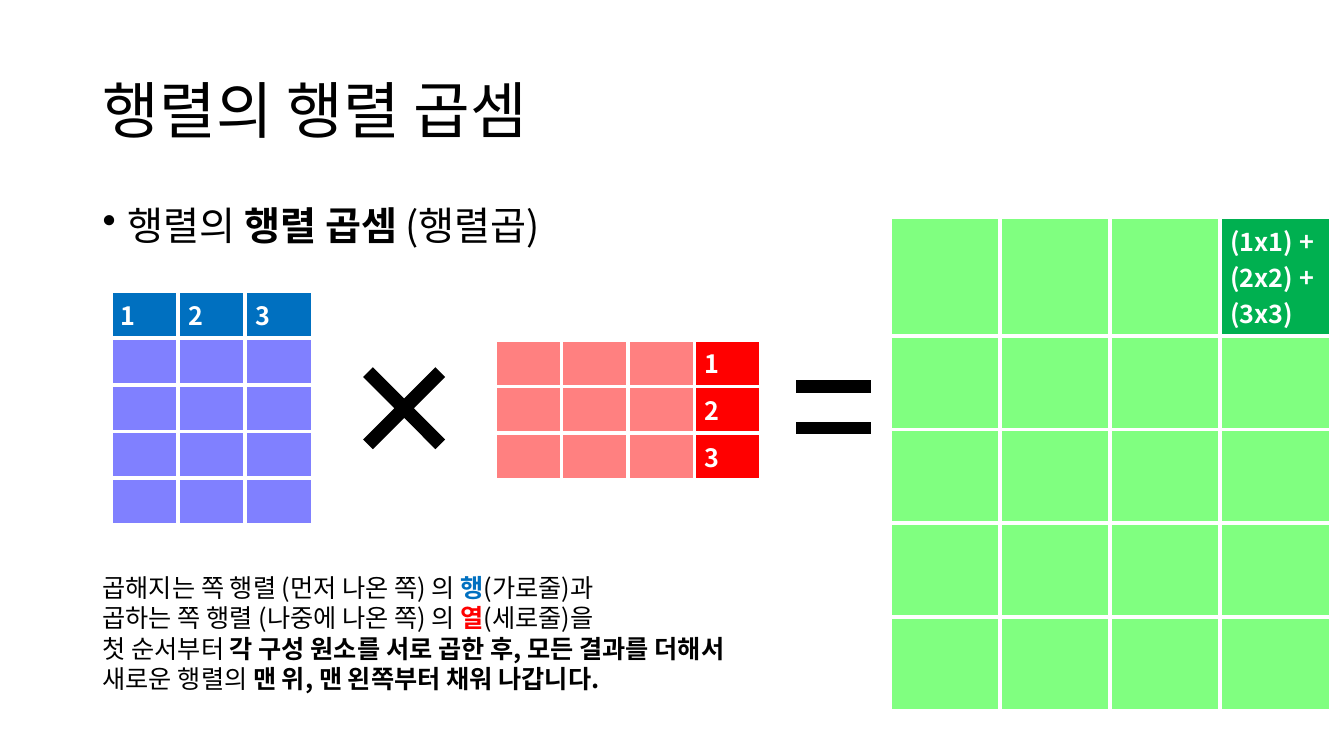
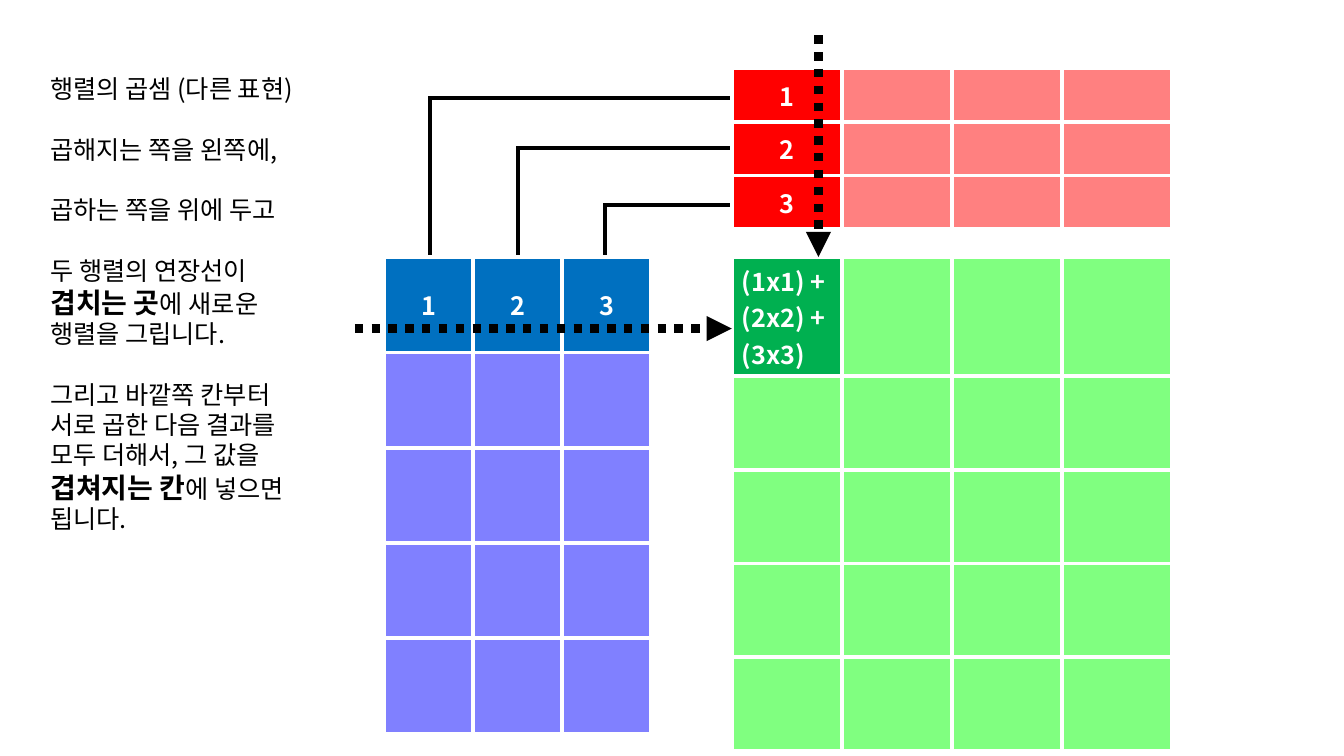
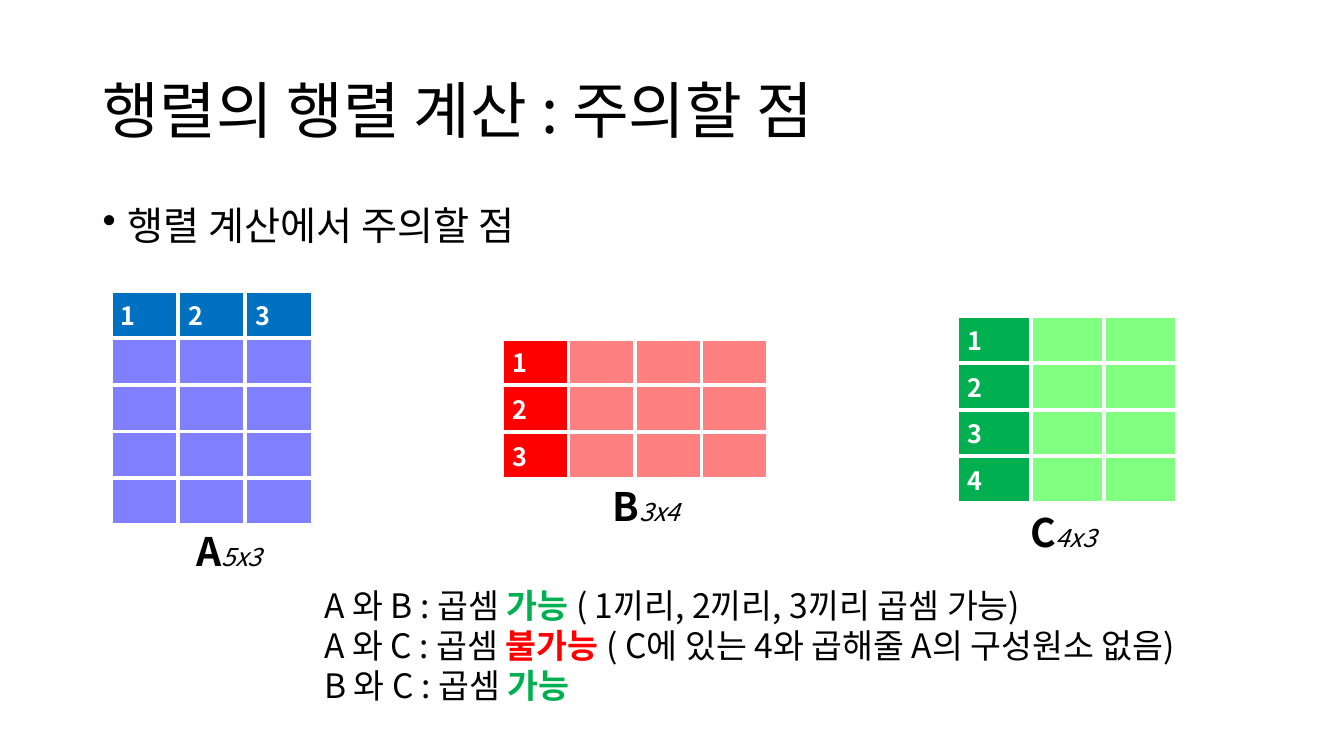
from lxml.etree import SubElement
from pptx import Presentation
from pptx.dml.color import RGBColor
from pptx.enum.dml import MSO_LINE
from pptx.enum.shapes import MSO_CONNECTOR, MSO_SHAPE
from pptx.enum.text import MSO_ANCHOR, PP_ALIGN
from pptx.oxml import parse_xml
from pptx.oxml.ns import nsdecls, qn
from pptx.util import Pt

FONT = "Noto Sans CJK KR"
BLACK, WHITE = "000000", "FFFFFF"
BLUE, RED, GREEN = ("0070C0", "8080FF"), ("FF0000", "FF8080"), ("00B050", "80FF80")
TITLE_ONLY, BLANK = 5, 6
HEADING_SPACING = 0.9
PRODUCT_SUM = "(1x1) +\n(2x2) +\n(3x3)"
PRODUCT_ROWS = [118, 93, 93, 93, 93]


def px(length):
    return round(length * 9144)


def box_of(*lengths):
    return [px(length) for length in lengths]


def equal_rows(height, count):
    return [height / count] * count


def rgb(value):
    return RGBColor.from_string(value)


def style_font(font, size=None, colour=None, bold=None, italic=None):
    if size:
        font.size = Pt(size)
    if colour:
        font.color.rgb = rgb(colour)
    if bold is not None:
        font.bold = bold
    if italic is not None:
        font.italic = italic


def write_para(para, spans, size, spacing=None, colour=BLACK, bold=False):
    for item in [spans] if isinstance(spans, str) else spans:
        text, style = (item, {}) if isinstance(item, str) else item
        span = para.add_run()
        span.text = text
        style_font(span.font, **style)
    style_font(para.font, size, colour, bold)
    para.font.name = FONT
    defaults = para._p.pPr.find(qn("a:defRPr"))
    SubElement(defaults, qn("a:ea")).set("typeface", FONT)
    if spacing:
        para.line_spacing = spacing


def add_text(page, box, groups, size, spacing=None, gap=0):
    frame = page.shapes.add_textbox(*box_of(*box)).text_frame
    frame.word_wrap = True
    para = None
    for group in groups:
        for position, spans in enumerate(group):
            starts_group = para is not None and position == 0
            para = frame.paragraphs[0] if para is None else frame.add_paragraph()
            write_para(para, spans, size, spacing)
            if starts_group:
                para.space_before = Pt(gap)
    return frame


def add_titled_page(deck, title, bullet):
    page = deck.slides.add_slide(deck.slide_layouts[TITLE_ONLY])
    holder = page.shapes.title
    holder.left, holder.top, holder.width, holder.height = box_of(92, 40, 1150, 145)
    holder.text_frame.vertical_anchor = MSO_ANCHOR.MIDDLE
    para = holder.text_frame.paragraphs[0]
    write_para(para, title, 44, HEADING_SPACING)
    para.alignment = PP_ALIGN.LEFT

    frame = add_text(page, (92, 200, 1150, 476), [[bullet]], 28, HEADING_SPACING)
    properties = frame.paragraphs[0]._p.pPr
    properties.set("marL", str(px(25)))
    properties.set("indent", str(px(-25)))
    mark = parse_xml(f'<a:buChar {nsdecls("a")} char="•"/>')
    properties.find(qn("a:defRPr")).addprevious(mark)
    return page


def add_borders(cell):
    properties = cell._tc.get_or_add_tcPr()
    for position, side in enumerate(("lnL", "lnR", "lnT", "lnB")):
        border = parse_xml(
            f'<a:{side} {nsdecls("a")} w="{Pt(3)}"><a:solidFill>'
            f'<a:srgbClr val="{WHITE}"/></a:solidFill></a:{side}>'
        )
        properties.insert(position, border)


def add_matrix(page, left, top, width, columns, heights, tones, labels, centred=False):
    box = box_of(left, top, width, sum(heights))
    table = page.shapes.add_table(len(heights), columns, *box).table
    table.first_row = table.horz_banding = False
    for column in table.columns:
        column.width = px(width / columns)
    strong, pale = tones
    for row, height in enumerate(heights):
        table.rows[row].height = px(height)
        for column in range(columns):
            cell = table.cell(row, column)
            text = labels.get((row, column))
            cell.fill.solid()
            cell.fill.fore_color.rgb = rgb(strong if text else pale)
            add_borders(cell)
            if not text:
                continue
            for position, line in enumerate(text.split("\n")):
                frame = cell.text_frame
                para = frame.add_paragraph() if position else frame.paragraphs[0]
                write_para(para, line, 18, colour=WHITE, bold=True)
                if centred:
                    para.alignment = PP_ALIGN.CENTER
            if centred:
                cell.vertical_anchor = MSO_ANCHOR.MIDDLE


def row_labels(count):
    return {(0, index): str(index + 1) for index in range(count)}


def column_labels(count, column=0):
    return {(index, column): str(index + 1) for index in range(count)}


def sharpen_corners(line):
    SubElement(line._get_or_add_ln(), qn("a:miter")).set("lim", "800000")


def add_sign(page, kind, box, adjustments):
    sign = page.shapes.add_shape(kind, *box_of(*box))
    sign.shadow.inherit = False
    for position, value in enumerate(adjustments):
        sign.adjustments[position] = value
    sign.fill.solid()
    sign.fill.fore_color.rgb = rgb(BLACK)
    sign.line.color.rgb = rgb(BLACK)
    sign.line.width = Pt(1)
    sharpen_corners(sign.line)


def add_line(page, kind, ends, width):
    line = page.shapes.add_connector(kind, *box_of(*ends))
    line.line.color.rgb = rgb(BLACK)
    line.line.width = Pt(width)
    SubElement(line._element.spPr, qn("a:effectLst"))
    return line


def add_corner(page, ends):
    corner = add_line(page, MSO_CONNECTOR.ELBOW, ends, 3)
    corner._element.spPr.find(qn("a:prstGeom")).set("prst", "bentConnector2")
    sharpen_corners(corner.line)


def add_dotted_arrow(page, ends):
    arrow = add_line(page, MSO_CONNECTOR.STRAIGHT, ends, 6)
    arrow.line.dash_style = MSO_LINE.ROUND_DOT
    SubElement(arrow.line._get_or_add_ln(), qn("a:tailEnd")).set("type", "triangle")


def build_product(deck):
    strong = {"bold": True}
    page = add_titled_page(
        deck,
        "행렬의 행렬 곱셈",
        ["행렬의 ", ("행렬 곱셈", strong), (" ", {"size": 24}), "(행렬곱)"],
    )
    add_matrix(page, 110, 289, 200, 3, equal_rows(232, 5), BLUE, row_labels(3))
    add_matrix(page, 491, 337, 264, 4, equal_rows(139, 3), RED, column_labels(3, 3))
    add_sign(page, MSO_SHAPE.MATH_MULTIPLY, (333, 337, 136, 136), [0.09])
    add_matrix(page, 883, 215, 437, 4, PRODUCT_ROWS, GREEN, {(0, 3): PRODUCT_SUM})
    add_sign(page, MSO_SHAPE.MATH_EQUAL, (777, 354, 100, 100), [0.11, 0.3])
    lines = [
        ["곱해지는 쪽 행렬 (먼저 나온 쪽) 의 ", ("행", {"colour": BLUE[0], "bold": True}), "(가로줄)과"],
        ["곱하는 쪽 행렬 (나중에 나온 쪽) 의 ", ("열", {"colour": RED[0], "bold": True}), "(세로줄)을"],
        ["첫 순서부터 ", ("각 구성 원소를 서로 곱한 후, 모든 결과를 더해서", strong)],
        ["새로운 행렬의 ", ("맨 위, 맨 왼쪽부터 채워 나갑니다.", strong)],
    ]
    add_text(page, (92, 563, 736, 131), [lines], 18)


def build_crossing(deck):
    page = deck.slides.add_slide(deck.slide_layouts[BLANK])
    for start_y, end_x in ((97, 427), (147, 514), (203, 600)):
        add_corner(page, (726, start_y, end_x, 255))
    add_matrix(page, 381, 255, 265, 3, equal_rows(473, 5), BLUE, row_labels(3), centred=True)
    add_matrix(page, 726, 68, 437, 4, equal_rows(159, 3), RED, column_labels(3), centred=True)
    add_matrix(page, 726, 255, 437, 4, PRODUCT_ROWS, GREEN, {(0, 0): PRODUCT_SUM})
    add_dotted_arrow(page, (352, 326, 726, 326))
    add_dotted_arrow(page, (812, 35, 812, 255))
    large = {"size": 20, "bold": True}
    groups = [
        ["행렬의 곱셈 (다른 표현)"],
        ["곱해지는 쪽을 왼쪽에,"],
        ["곱하는 쪽을 위에 두고"],
        ["두 행렬의 연장선이", [("겹치는 곳", large), "에 새로운"], "행렬을 그립니다."],
        [
            "그리고 바깥쪽 칸부터",
            "서로 곱한 다음 결과를",
            "모두 더해서, 그 값을",
            [("겹쳐지는 칸", large), "에 넣으면"],
            "됩니다.",
        ],
    ]
    add_text(page, (40, 68, 308, 471), groups, 18, gap=21.6)


def build_cautions(deck):
    page = add_titled_page(deck, "행렬의 행렬 계산 : 주의할 점", "행렬 계산에서 주의할 점")
    add_matrix(page, 110, 289, 200, 3, equal_rows(232, 5), BLUE, row_labels(3))
    add_matrix(page, 498, 336, 264, 4, equal_rows(139, 3), RED, column_labels(3))
    add_matrix(page, 950, 314, 218, 3, equal_rows(185, 4), GREEN, column_labels(4))
    for name, shape, left, top in (
        ("A", "5x3", 185, 518),
        ("B", "3x4", 598, 474),
        ("C", "4x3", 1012, 499),
    ):
        spans = [(name, {"bold": True}), (shape, {"size": 18, "italic": True})]
        add_text(page, (left, top, 115, 57), [[spans]], 28)
    possible = {"colour": GREEN[0], "bold": True}
    impossible = {"colour": RED[0], "bold": True}
    lines = [
        ["A 와 B : 곱셈 ", ("가능 ", possible), "( 1끼리, 2끼리, 3끼리 곱셈 가능)"],
        ["A 와 C : 곱셈 ", ("불가능 ", impossible), "( C에 있는 4와 곱해줄 A의 구성원소 없음)"],
        ["B 와 C : 곱셈 ", ("가능", possible)],
    ]
    add_text(page, (312, 575, 1023, 131), [lines], 24)


def main():
    deck = Presentation()
    deck.slide_width, deck.slide_height = box_of(4000 / 3, 750)
    build_product(deck)
    build_crossing(deck)
    build_cautions(deck)
    deck.save("out.pptx")


if __name__ == "__main__":
    main()
